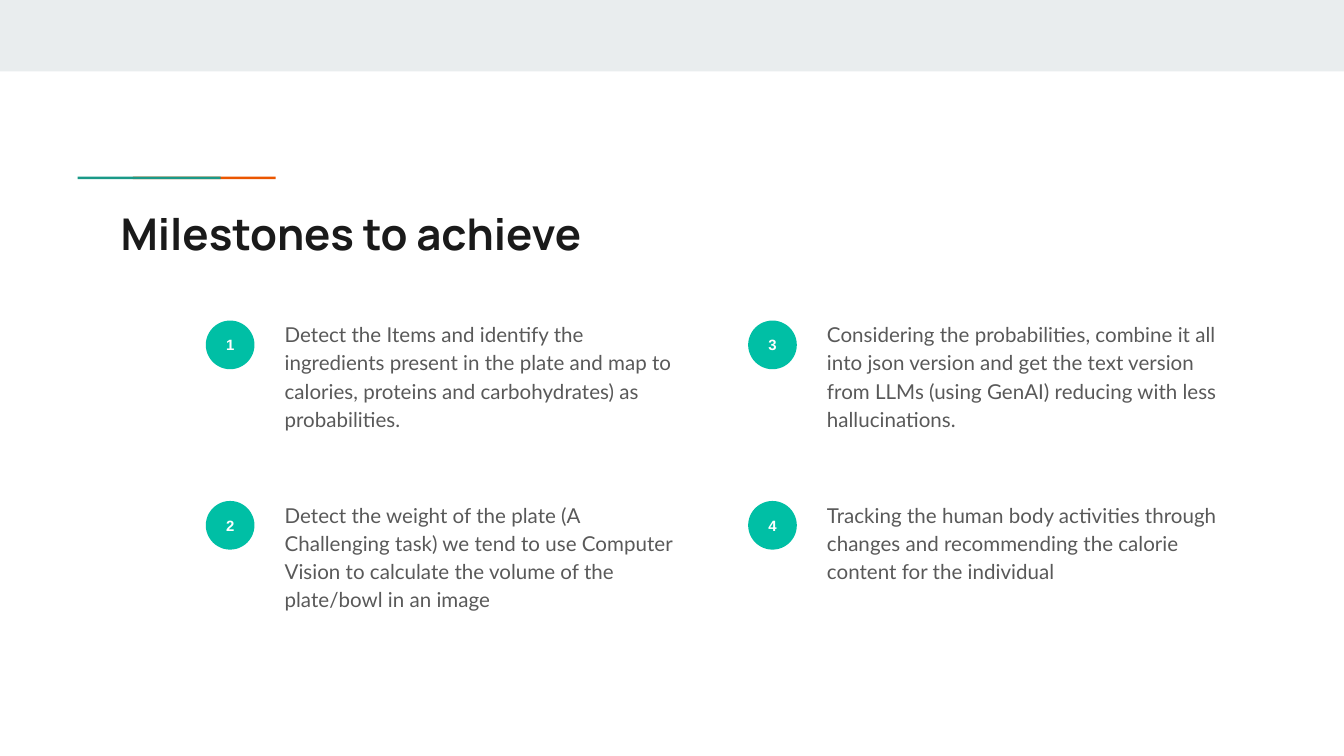
from dataclasses import dataclass

from pptx import Presentation
from pptx.dml.color import RGBColor as RGB
from pptx.enum.shapes import MSO_SHAPE as Kind
from pptx.enum.text import MSO_ANCHOR as Anchor, MSO_AUTO_SIZE as Fit, PP_ALIGN as Align
from pptx.shapes.autoshape import Shape
from pptx.slide import Slide
from pptx.util import Cm, Pt


@dataclass(frozen=True)
class Style:
    font: str
    size: float
    color: str
    bold: bool = False


@dataclass(frozen=True)
class Theme:
    band: str = "E9EDEE"
    teal: str = "1A9988"
    orange: str = "EB5600"
    badge: str = "00BFA5"
    title: Style = Style("Manrope", 23.4, "1A1A1A", True)
    number: Style = Style("Arial", 8, "FFFFFF", True)
    body: Style = Style("Lato", 11, "595959")


@dataclass(frozen=True)
class Box:
    """A place on the slide, in centimetres."""
    left: float
    top: float
    width: float
    height: float

    def shift(self, x: float, y: float) -> "Box":
        return Box(self.left + x, self.top + y, self.width, self.height)

    def emu(self) -> tuple[Cm, Cm, Cm, Cm]:
        return Cm(self.left), Cm(self.top), Cm(self.width), Cm(self.height)


THEME = Theme()
WIDTH, HEIGHT = 25.4, 14.29
INSET = Cm(0.25)
BAR = Box(1.47, 3.34, 2.7, 0.05)
BAR_STEP = 1.04
TITLE = Box(2.03, 3.66, 21.36, 1.5)
BADGE = Box(3.89, 6.06, 0.92, 0.92)
BODY = Box(5.13, 5.77, 7.87, 2.92)
COL_STEP, ROW_STEP, ROWS = 10.25, 3.41, 2

GOALS = (
    "Detect the Items and identify the ingredients present in the plate and map to "
    "calories, proteins and carbohydrates) as probabilities.",
    "Detect the weight of the plate (A Challenging task) we tend to use Computer "
    "Vision to calculate the volume of the plate/bowl in an image",
    "Considering the probabilities, combine it all into json version and get the text "
    "version from LLMs (using GenAI) reducing with less hallucinations.",
    "Tracking the human body activities through changes and recommending the calorie "
    "content for the individual",
)


def add_shape(slide: Slide, kind: Kind, box: Box, color: str) -> Shape:
    shape = slide.shapes.add_shape(kind, *box.emu())
    shape.shadow.inherit = False
    shape.fill.solid()
    shape.fill.fore_color.rgb = RGB.from_string(color)
    shape.line.fill.background()
    return shape


def set_text(shape: Shape, text: str, style: Style, align: Align = Align.LEFT,
             anchor: Anchor = Anchor.TOP) -> None:
    frame = shape.text_frame
    frame.text = text
    frame.word_wrap = True
    frame.auto_size = Fit.NONE
    frame.vertical_anchor = anchor
    frame.margin_left = frame.margin_right = INSET
    frame.margin_top = frame.margin_bottom = INSET
    para = frame.paragraphs[0]
    para.alignment = align
    font = para.font
    font.name, font.size, font.bold = style.font, Pt(style.size), style.bold
    font.color.rgb = RGB.from_string(style.color)


def add_title(slide: Slide, text: str) -> None:
    title = slide.shapes.title
    title.left, title.top, title.width, title.height = TITLE.emu()
    set_text(title, text, THEME.title)


def add_goal(slide: Slide, index: int, text: str) -> None:
    """Place a numbered goal, filling the grid column by column."""
    col, row = divmod(index, ROWS)
    x, y = col * COL_STEP, row * ROW_STEP
    badge = add_shape(slide, Kind.OVAL, BADGE.shift(x, y), THEME.badge)
    set_text(badge, str(index + 1), THEME.number, Align.CENTER, Anchor.MIDDLE)
    body = slide.shapes.add_textbox(*BODY.shift(x, y).emu())
    set_text(body, text, THEME.body)
    para = body.text_frame.paragraphs[0]
    para.line_spacing = 1.15
    para.space_after = Pt(12)


def main() -> None:
    deck = Presentation()
    deck.slide_width, deck.slide_height = Cm(WIDTH), Cm(HEIGHT)
    slide = deck.slides.add_slide(deck.slide_layouts.get_by_name("Title Only"))
    add_shape(slide, Kind.RECTANGLE, Box(0, 0, WIDTH, 1.35), THEME.band)
    add_shape(slide, Kind.RECTANGLE, BAR.shift(BAR_STEP, 0), THEME.orange)
    add_shape(slide, Kind.RECTANGLE, BAR, THEME.teal)
    add_title(slide, "Milestones to achieve")
    for index, text in enumerate(GOALS):
        add_goal(slide, index, text)
    deck.save("out.pptx")


if __name__ == "__main__":
    main()
